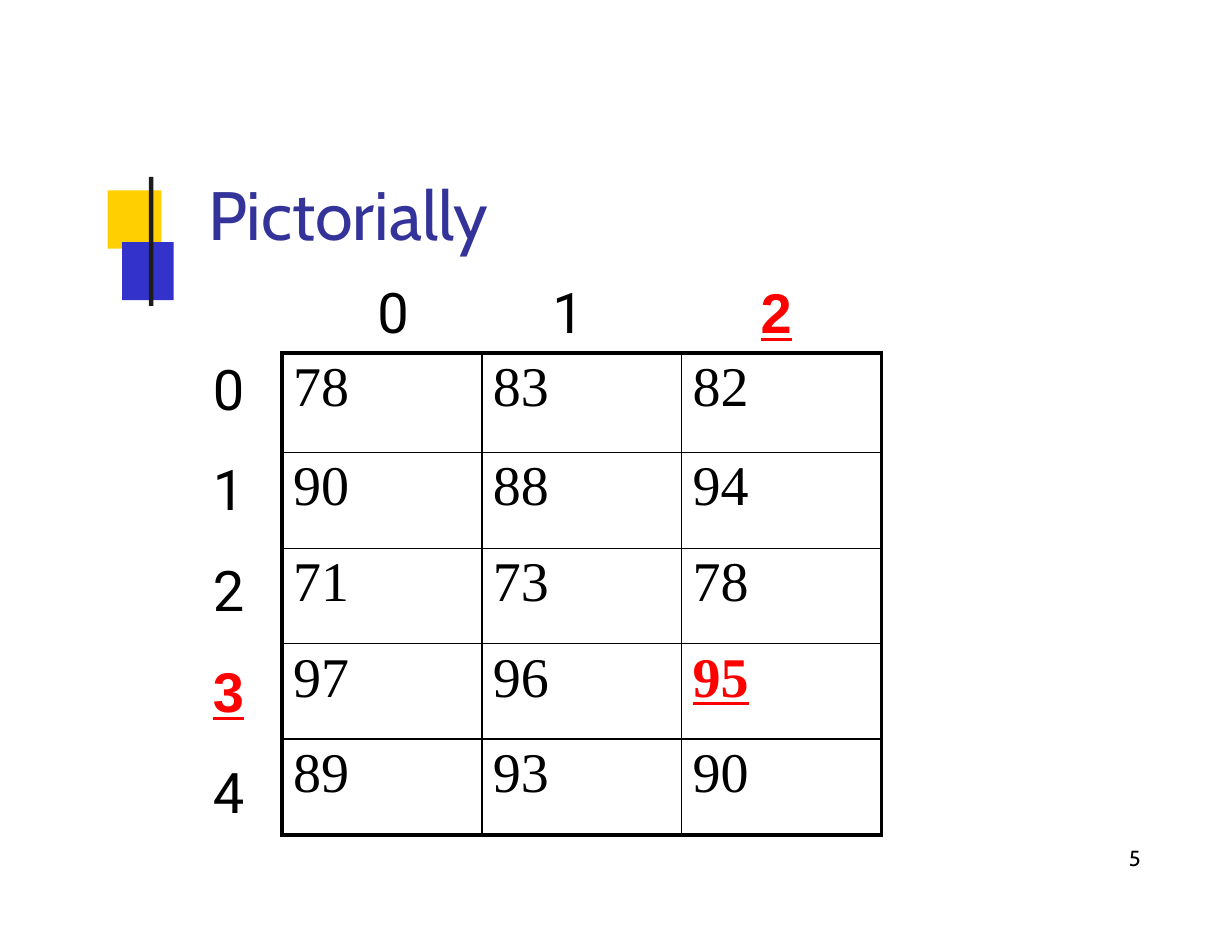
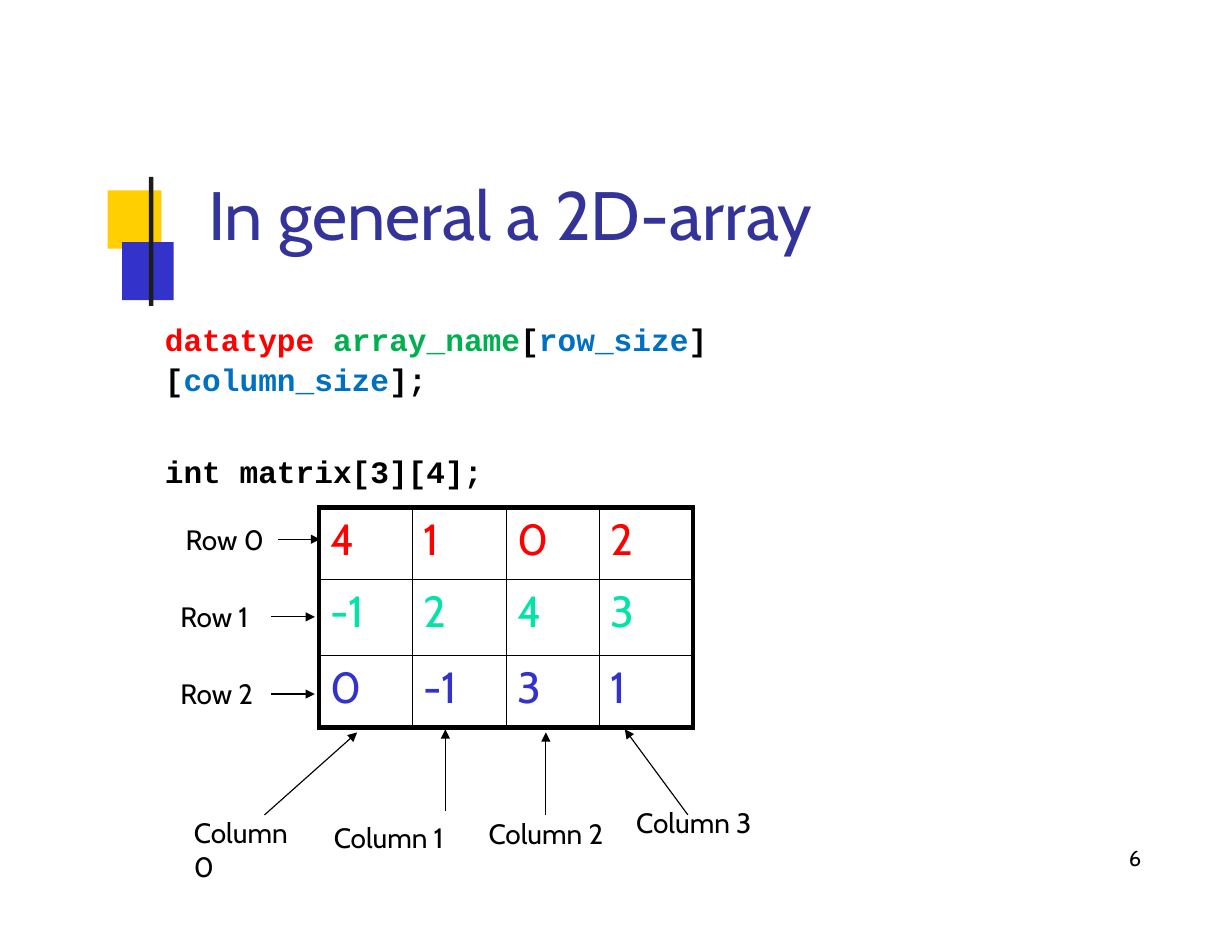
from dataclasses import dataclass, replace

from lxml.etree import SubElement
from pptx import Presentation
from pptx.dml.color import RGBColor
from pptx.enum.shapes import MSO_CONNECTOR as Connector, MSO_SHAPE as Shape
from pptx.oxml.ns import qn
from pptx.util import Cm, Pt

BLACK = RGBColor(0x00, 0x00, 0x00)
CHARCOAL = RGBColor(0x1C, 0x1C, 0x1C)
YELLOW = RGBColor(0xFF, 0xCF, 0x01)
BLUE = RGBColor(0x33, 0x33, 0xCC)
TITLE_BLUE = RGBColor(0x33, 0x33, 0x99)
RED = RGBColor(0xFF, 0x00, 0x00)
TEAL = RGBColor(0x00, 0xE4, 0xA8)
CODE_GREEN = RGBColor(0x00, 0xB0, 0x50)
CODE_BLUE = RGBColor(0x00, 0x70, 0xC0)


@dataclass(frozen=True)
class Style:
    font: str
    size: int
    color: RGBColor = BLACK
    bold: bool = False
    underline: bool = False


TITLE = Style("Cabin", 44, TITLE_BLUE)
PAGE_NUMBER = Style("Cabin", 14)
LABEL = Style("Cabin", 18)
INDEX = Style("Roboto", 36)
SCORE = Style("Times New Roman", 36)
MATRIX = Style("Cabin", 28)
CODE = Style("Courier New", 20, bold=True)

# Shared decoration: colour, left, top, width, height in cm
DECORATION = [
    (YELLOW, 2.44, 4.32, 1.22, 1.32),
    (BLUE, 2.77, 5.49, 1.17, 1.32),
    (CHARCOAL, 3.38, 4.01, 0.1, 2.93),
]

# Score table
SCORES = [
    ["78", "83", "82"],
    ["90", "88", "94"],
    ["71", "73", "78"],
    ["97", "96", "95"],
    ["89", "93", "90"],
]
SCORE_ROW_HEIGHTS = [2.26, 2.18, 2.16, 2.16, 2.18]
COLUMN_INDEX_LEFTS = [8.53, 12.5, 17.22]
CHOSEN_ROW, CHOSEN_COLUMN = 3, 2

# General 2D array
DECLARATION = [
    ("datatype ", RED), ("array_name", CODE_GREEN), ("[", BLACK),
    ("row_size", CODE_BLUE), ("][", BLACK), ("column_size", CODE_BLUE),
    ("];", BLACK),
]
EXAMPLE = "int matrix[3][4];"
MATRIX_ROWS = [
    (RED, ["4", "1", "0", "2"]),
    (TEAL, ["-1", "2", "4", "3"]),
    (BLUE, ["0", "-1", "3", "1"]),
]
MATRIX_ROW_HEIGHTS = [1.63, 1.73, 1.63]
COLUMN_LABELS = [(4.37, 18.47), (7.54, 18.57), (11.05, 18.49), (14.4, 18.24)]
ROW_LABEL_GAPS = [0, 28, 28.4]
ARROWS = [  # start x, start y, end x, end y
    (6.3, 12.23, 7.26, 12.23), (6.15, 13.99, 7.14, 13.99),
    (6.15, 15.74, 7.14, 15.74),
    (6.0, 18.48, 8.1, 16.61), (10.1, 18.4, 10.1, 16.54),
    (12.38, 18.48, 12.38, 16.61), (15.6, 18.48, 14.17, 16.54),
]


def emphasised(style, font):
    return replace(style, font=font, color=RED, bold=True, underline=True)


def add_run(paragraph, text, style):
    run = paragraph.add_run()
    run.text = text
    run.font.name = style.font
    run.font.size = Pt(style.size)
    run.font.color.rgb = style.color
    run.font.bold = style.bold
    run.font.underline = style.underline


def add_text(slide, box, paragraphs, inset_left=0.03, inset_top=0.03,
             gaps=None, line_spacing=None):
    """Add a text box; each paragraph is a list of (text, style) runs."""
    frame = slide.shapes.add_textbox(*map(Cm, box)).text_frame
    frame.word_wrap = True
    frame.margin_left, frame.margin_top = Cm(inset_left), Cm(inset_top)
    frame.margin_right = frame.margin_bottom = 0
    for number, runs in enumerate(paragraphs):
        paragraph = frame.add_paragraph() if number else frame.paragraphs[0]
        if number and gaps:
            paragraph.space_before = Pt(gaps[number])
        if line_spacing:
            paragraph.line_spacing = line_spacing
        for text, style in runs:
            add_run(paragraph, text, style)
    return frame


def start_slide(presentation, title, page):
    slide = presentation.slides.add_slide(presentation.slide_layouts[6])
    for color, *box in DECORATION:
        shape = slide.shapes.add_shape(Shape.RECTANGLE, *map(Cm, box))
        shape.shadow.inherit = False
        shape.fill.solid()
        shape.fill.fore_color.rgb = color
        shape.line.fill.background()
    add_text(slide, (4.62, 2.03, 18.47, 3.81), [[(title, TITLE)]], 0.1, 1.9)
    add_text(slide, (25.22, 19.13, 0.79, 0.66), [[(page, PAGE_NUMBER)]], 0.38)
    return slide


def set_border(cell, side, width):
    line = SubElement(cell._tc.get_or_add_tcPr(), qn(f"a:ln{side}"),
                      w=str(Pt(width)))
    fill = SubElement(line, qn("a:solidFill"))
    SubElement(fill, qn("a:srgbClr"), val=str(BLACK))


def add_grid(slide, left, top, column_width, row_heights, rows, inset_top,
             right_border=3):
    """Add a table of (text, style) cells with a heavy frame and thin rules."""
    row_count, column_count = len(rows), len(rows[0])
    table = slide.shapes.add_table(
        row_count, column_count, Cm(left), Cm(top),
        Cm(column_width * column_count), Cm(sum(row_heights))).table
    table.first_row = table.horz_banding = False
    for column in table.columns:
        column.width = Cm(column_width)
    for r, row in enumerate(rows):
        table.rows[r].height = Cm(row_heights[r])
        for c, (text, style) in enumerate(row):
            cell = table.cell(r, c)
            cell.margin_left, cell.margin_top = Cm(0.25), Cm(inset_top)
            cell.margin_right = cell.margin_bottom = 0
            set_border(cell, "L", 3 if c == 0 else 1)
            set_border(cell, "R", right_border if c == column_count - 1 else 1)
            set_border(cell, "T", 3 if r == 0 else 1)
            set_border(cell, "B", 3 if r == row_count - 1 else 1)
            cell.fill.background()
            add_run(cell.text_frame.paragraphs[0], text, style)


def add_arrow(slide, *ends):
    arrow = slide.shapes.add_connector(Connector.STRAIGHT, *map(Cm, ends))
    arrow.line.color.rgb = BLACK
    arrow.line.width = Pt(0.75)
    SubElement(arrow.line._get_or_add_ln(), qn("a:tailEnd"), type="triangle")
    SubElement(arrow._element.spPr, qn("a:effectLst"))


def build_score_slide(presentation):
    slide = start_slide(presentation, "Pictorially", "5")
    chosen_index = emphasised(INDEX, "Arial")
    chosen_score = emphasised(SCORE, SCORE.font)

    # Scores
    rows = [[(text, chosen_score if (r, c) == (CHOSEN_ROW, CHOSEN_COLUMN)
              else SCORE) for c, text in enumerate(row)]
            for r, row in enumerate(SCORES)]
    add_grid(slide, 6.4, 8, 4.53, SCORE_ROW_HEIGHTS, rows, 0.08, 2.25)

    # Row and column indices
    indices = [[(str(r), chosen_index if r == CHOSEN_ROW else INDEX)]
               for r in range(len(SCORES))]
    add_text(slide, (4.8, 7.24, 0.79, 11.51), indices, inset_top=0.79,
             gaps=[21.6] * len(indices))
    for c, left in enumerate(COLUMN_INDEX_LEFTS):
        style = chosen_index if c == CHOSEN_COLUMN else INDEX
        add_text(slide, (left, 6.27, 0.79, 1.6), [[(str(c), style)]])


def build_array_slide(presentation):
    slide = start_slide(presentation, "In general a 2D-array", "6")

    # Declaration and example
    declaration = [(text, replace(CODE, color=color))
                   for text, color in DECLARATION]
    add_text(slide, (3.71, 7.16, 16.38, 3.81),
             [declaration, [(EXAMPLE, CODE)]], gaps=[0, 33.4],
             line_spacing=1.08)

    # Matrix
    rows = [[(text, replace(MATRIX, color=color)) for text in row]
            for color, row in MATRIX_ROWS]
    add_grid(slide, 7.24, 11.51, 2.12, MATRIX_ROW_HEIGHTS, rows, 0.13)

    # Row and column labels
    labels = [[(f"Row {r}", LABEL)] for r in range(len(MATRIX_ROWS))]
    frame = add_text(slide, (4.06, 11.81, 1.93, 4.34), labels,
                     gaps=ROW_LABEL_GAPS)
    frame.paragraphs[0]._p.get_or_add_pPr().set("marL", str(Cm(0.12)))
    for c, (left, top) in enumerate(COLUMN_LABELS):
        add_text(slide, (left, top, 2.72, 0.84), [[(f"Column {c}", LABEL)]])

    # Arrows from labels to the matrix
    for ends in ARROWS:
        add_arrow(slide, *ends)


def main():
    presentation = Presentation()
    presentation.slide_width, presentation.slide_height = Cm(27.94), Cm(21.59)
    build_score_slide(presentation)
    build_array_slide(presentation)
    presentation.save("out.pptx")


if __name__ == "__main__":
    main()
